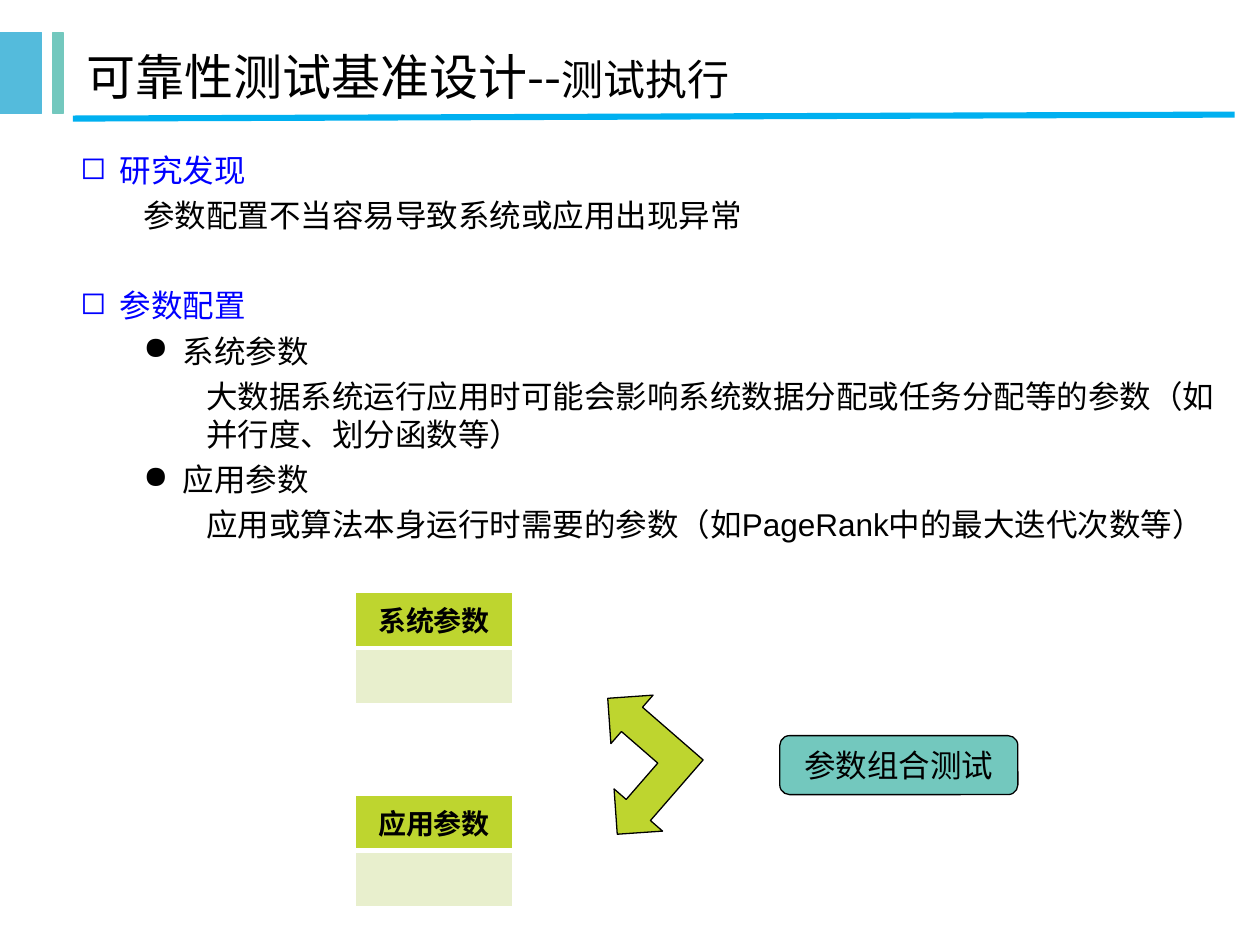
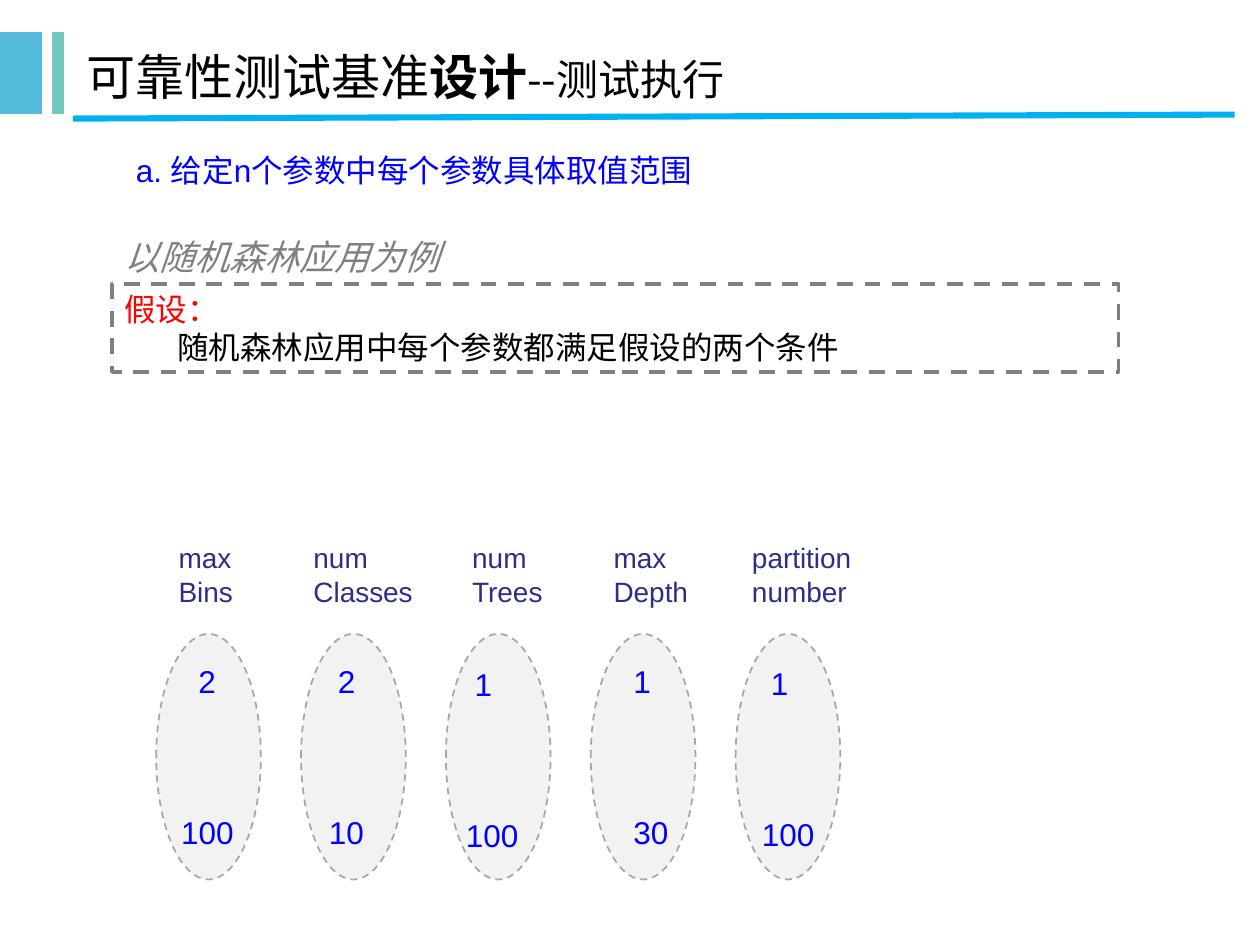
from lxml.etree import SubElement
from pptx import Presentation
from pptx.dml.color import RGBColor
from pptx.enum.dml import MSO_LINE
from pptx.enum.shapes import MSO_CONNECTOR, MSO_SHAPE
from pptx.enum.text import MSO_ANCHOR, PP_ALIGN
from pptx.oxml.ns import qn
from pptx.util import Cm, Pt

SKY = RGBColor(0x54, 0xBB, 0xDC)
TEAL = RGBColor(0x73, 0xC8, 0xBE)
RULE_BLUE = RGBColor(0x00, 0xB0, 0xF0)
BLUE = RGBColor(0x00, 0x00, 0xFF)
NAVY = RGBColor(0x2D, 0x2D, 0x8A)
RED = RGBColor(0xFF, 0x00, 0x00)
LIME = RGBColor(0xBE, 0xD5, 0x2F)
PALE_LIME = RGBColor(0xE8, 0xEF, 0xCD)
BLACK = RGBColor(0x00, 0x00, 0x00)
WHITE = RGBColor(0xFF, 0xFF, 0xFF)
GRAY = RGBColor(0x80, 0x80, 0x80)
SILVER = RGBColor(0xA6, 0xA6, 0xA6)
PALE_GRAY = RGBColor(0xF2, 0xF2, 0xF2)

BODY_FONT = "Arial"
TITLE_FONT = "Noto Sans CJK SC"
LINE_RATIO = 1.21


class Deck:
    """Holds the shared style and the slide being built."""

    def __init__(self):
        self.presentation = Presentation()
        self.presentation.slide_width = Cm(25.4)
        self.presentation.slide_height = Cm(19.05)
        self.slide = None

    def start_slide(self, title_parts):
        """Add a slide with side bands, title and rule."""
        layout = self.presentation.slide_layouts[6]
        self.slide = self.presentation.slides.add_slide(layout)
        self.block(MSO_SHAPE.RECTANGLE, (0, 0.66, 0.84, 1.63), SKY, SKY)
        self.block(MSO_SHAPE.RECTANGLE, (1.07, 0.66, 0.2, 1.63), TEAL, TEAL)
        self.rule((1.47, 2.39), (24.89, 2.31))
        frame = self.text((1.5, 0.66, 22.63, 1.75), [])
        frame.vertical_anchor = MSO_ANCHOR.MIDDLE
        for wording, size, font, bold in title_parts:
            run = frame.paragraphs[0].add_run()
            run.text = wording
            self.style_run(run, size, BLACK, font, bold)

    def rule(self, start, end):
        """Draw the line under the title."""
        line = self.slide.shapes.add_connector(
            MSO_CONNECTOR.STRAIGHT, *(Cm(value) for value in start + end))
        line.line.color.rgb = RULE_BLUE
        line.line.width = Pt(3.5)
        SubElement(line._element.spPr, qn("a:effectLst"))

    def block(self, preset, box, fill, outline, width=0.75, dash=None):
        """Draw a preset shape."""
        shape = self.slide.shapes.add_shape(preset, *(Cm(value) for value in box))
        shape.shadow.inherit = False
        if fill is None:
            shape.fill.background()
        else:
            shape.fill.solid()
            shape.fill.fore_color.rgb = fill
        shape.line.color.rgb = outline
        shape.line.width = Pt(width)
        if dash:
            shape.line.dash_style = dash
        return shape

    def text(self, box, lines, **look):
        """Add a wrapping text box."""
        frame = self.slide.shapes.add_textbox(*(Cm(value) for value in box)).text_frame
        frame.word_wrap = True
        self.fill_frame(frame, lines, **look)
        return frame

    def fill_frame(self, frame, lines, **look):
        """Fill a frame with (wording, own look) lines over a common look."""
        for index, (wording, own_look) in enumerate(lines):
            paragraph = frame.add_paragraph() if index else frame.paragraphs[0]
            paragraph.text = wording
            self.style_paragraph(paragraph, **{**look, **own_look})

    def style_paragraph(self, paragraph, size=18, color=BLACK, bold=False, italic=False,
                        align=PP_ALIGN.LEFT, left=0, hang=0, after=0, bullet=None):
        """Set spacing, indent, bullet and run style."""
        paragraph.alignment = align
        paragraph.line_spacing = Pt(size * LINE_RATIO)
        paragraph.space_after = Pt(after)
        properties = paragraph._p.get_or_add_pPr()
        properties.set("marL", str(Cm(left)))
        properties.set("indent", str(-Cm(hang)))
        if bullet:
            SubElement(properties, qn("a:buChar")).set("char", bullet)
        for run in paragraph.runs:
            self.style_run(run, size, color, BODY_FONT, bold, italic)

    def style_run(self, run, size, color, font, bold=False, italic=False):
        """Set one font for Latin and East Asian letters."""
        run.font.size = Pt(size)
        run.font.color.rgb = color
        run.font.bold = bold
        run.font.italic = italic
        run.font.name = font
        SubElement(run._r.get_or_add_rPr(), qn("a:ea")).set("typeface", font)

    def parameter_table(self, left, top, heading):
        """Add a heading cell over one empty cell."""
        table = self.slide.shapes.add_table(
            2, 1, Cm(left), Cm(top), Cm(3.18), Cm(2.24)).table
        for row, (fill, bottom) in enumerate([(LIME, 3), (PALE_LIME, 1)]):
            cell = table.cell(row, 0)
            cell.vertical_anchor = MSO_ANCHOR.MIDDLE
            self.cell_borders(cell, bottom)
            cell.fill.solid()
            cell.fill.fore_color.rgb = fill
        self.fill_frame(table.cell(0, 0).text_frame, [(heading, {})],
                        size=16, bold=True, align=PP_ALIGN.CENTER)

    def cell_borders(self, cell, bottom):
        """Give a cell white borders."""
        properties = cell._tc.get_or_add_tcPr()
        for side, width in (("L", 1), ("R", 1), ("T", 1), ("B", bottom)):
            border = SubElement(properties, qn(f"a:ln{side}"))
            border.set("w", str(Pt(width)))
            paint = SubElement(border, qn("a:solidFill"))
            SubElement(paint, qn("a:srgbClr")).set("val", str(WHITE))


def build_parameter_slide(deck):
    """Explain system and application parameters."""
    deck.start_slide([("可靠性测试基准设计--", 28, TITLE_FONT, False),
                      ("测试执行", 24, TITLE_FONT, False)])
    topic = dict(color=BLUE, left=0.79, hang=0.79, bullet="◻")
    kind = dict(left=2.06, hang=0.79, bullet="●")
    detail = dict(left=2.54)
    deck.text((1.37, 2.92, 23.52, 8.99), [
        ("研究发现", topic),
        ("参数配置不当容易导致系统或应用出现异常", dict(left=1.27, after=29.7)),
        ("参数配置", topic),
        ("系统参数", kind),
        ("大数据系统运行应用时可能会影响系统数据分配或任务分配等的参数"
         "（如并行度、划分函数等）", detail),
        ("应用参数", kind),
        ("应用或算法本身运行时需要的参数（如PageRank中的最大迭代次数等）", detail),
    ], after=4)
    deck.parameter_table(7.16, 11.94, "系统参数")
    deck.parameter_table(7.16, 16.03, "应用参数")
    arrow = deck.block(MSO_SHAPE.LEFT_UP_ARROW, (11.51, 14.12, 2.59, 2.59), LIME, BLACK)
    arrow.rotation = 311
    combined_test = deck.block(
        MSO_SHAPE.ROUNDED_RECTANGLE, (15.72, 14.83, 4.8, 1.19), TEAL, BLACK)
    deck.fill_frame(combined_test.text_frame, [("参数组合测试", {})],
                    align=PP_ALIGN.CENTER)


def build_range_slide(deck):
    """Show the value range of each random forest parameter."""
    deck.start_slide([("可靠性测试基准", 28, TITLE_FONT, False),
                      ("设计", 28, BODY_FONT, True),
                      ("--测试执行", 24, TITLE_FONT, False)])
    parameters = [
        (["max", "Bins"], 3.35, "2", "100", 3.4, 13.21, 0.35),
        (["num", "Classes"], 6.07, "2", "10", 6.38, 13.21, 0.18),
        (["num", "Trees"], 9.27, "1", "100", 9.14, 13.28, 0.18),
        (["max", "Depth"], 12.12, "1", "30", 12.52, 13.21, 0),
        (["partition number"], 14.91, "1", "100", 15.11, 13.26, 0.18),
    ]
    for index, (label, label_left, low, high, left, top, indent) in enumerate(parameters):
        deck.block(MSO_SHAPE.OVAL, (3.15 + 2.92 * index, 12.78, 2.11, 4.95),
                   PALE_GRAY, SILVER, 1, MSO_LINE.DASH)
        deck.text((left, top, 2.1, 4.06),
                  [(low, dict(left=indent, after=64.6)), (high, {})], color=BLUE)
        deck.text((label_left, 10.77, 3.2, 1.6),
                  [(word, {}) for word in label], size=16, color=NAVY)
    deck.text((2.49, 2.92, 20.8, 1.02),
              [("a. 给定n个参数中每个参数具体取值范围", {})], color=BLUE)
    assumption = deck.block(MSO_SHAPE.RECTANGLE, (2.26, 5.72, 20.29, 1.78),
                            None, GRAY, 2.25, MSO_LINE.DASH)
    deck.fill_frame(assumption.text_frame, [
        ("假设：", dict(color=RED)),
        ("随机森林应用中每个参数都满足假设的两个条件", dict(left=1.06)),
    ])
    deck.text((2.26, 4.62, 10.16, 1.09), [("以随机森林应用为例", {})],
              size=20, color=GRAY, italic=True)


def main():
    """Build and save both slides."""
    deck = Deck()
    build_parameter_slide(deck)
    build_range_slide(deck)
    deck.presentation.save("out.pptx")


if __name__ == "__main__":
    main()
